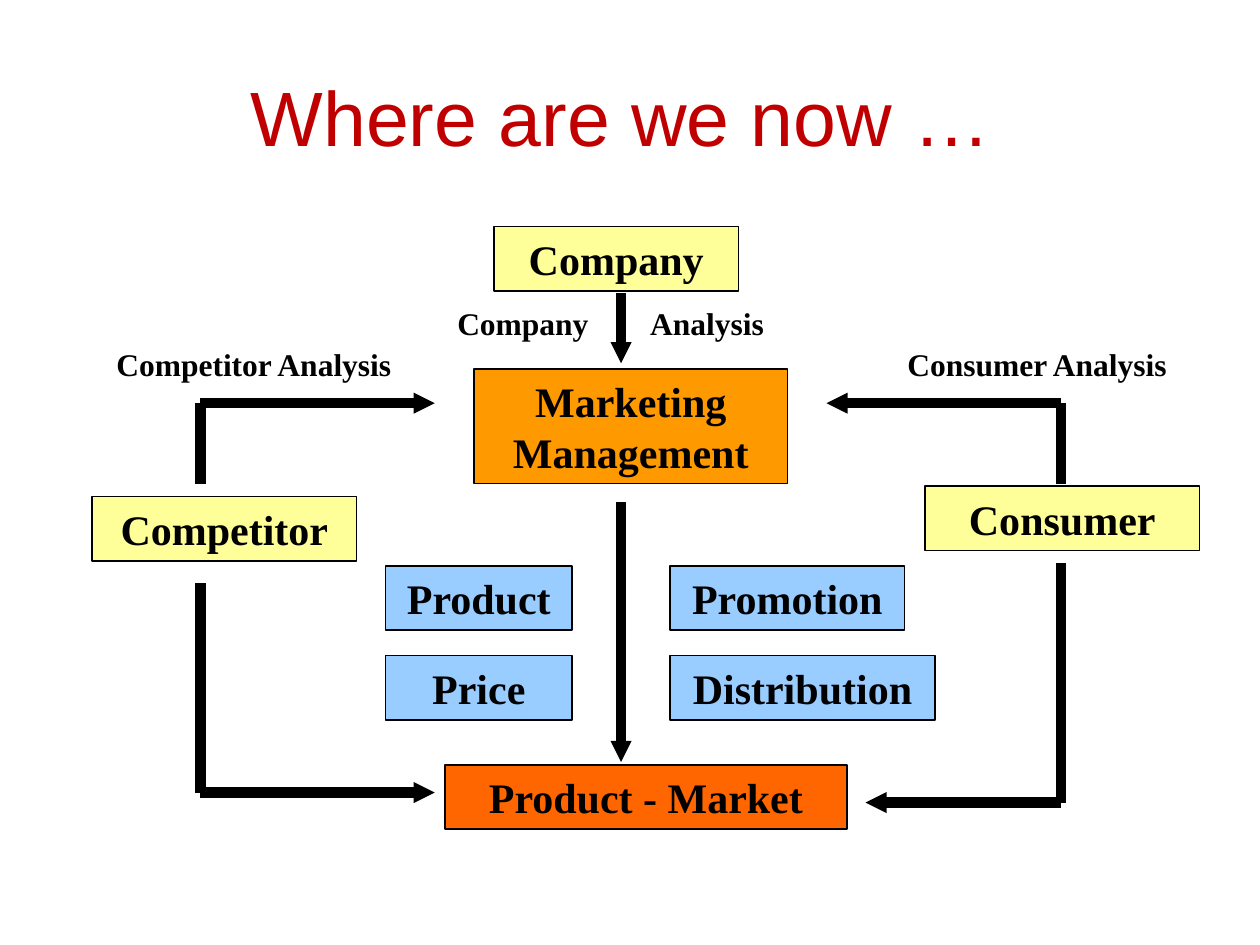
from dataclasses import dataclass
from lxml.etree import SubElement
from pptx import Presentation
from pptx.dml.color import RGBColor
from pptx.enum.shapes import MSO_CONNECTOR, MSO_SHAPE
from pptx.enum.text import MSO_ANCHOR, PP_ALIGN
from pptx.oxml.ns import qn
from pptx.util import Pt


@dataclass(frozen=True)
class Theme:
    ink: str = "000000"
    title: str = "C00000"
    actor: str = "FFFF99"
    core: str = "FF9900"
    mix: str = "99CCFF"
    goal: str = "FF6600"
    serif: str = "Times New Roman"
    sans: str = "Arial"
    head: int = 44
    body: int = 24
    note: int = 18
    edge: int = 1
    flow: int = 6
    row: float = 36.7


THEME = Theme()


def apply(item, values):
    for name, value in values.items():
        setattr(item, name, value)


def write(shape, text, size=THEME.body, face=THEME.serif, color=THEME.ink, bold=True):
    frame = shape.text_frame
    apply(frame, {"word_wrap": True, "vertical_anchor": MSO_ANCHOR.MIDDLE})
    para = frame.paragraphs[0]
    apply(para, {"text": text, "alignment": PP_ALIGN.CENTER})
    font = para.runs[0].font
    apply(font, {"name": face, "size": Pt(size), "bold": bold})
    font.color.rgb = RGBColor.from_string(color)


def label(slide, text, left, top, width, height=28.8, **style):
    area = slide.shapes.add_textbox(Pt(left), Pt(top), Pt(width), Pt(height))
    write(area, text, **{"size": THEME.note, **style})


def block(slide, text, fill, left, top, width, height=THEME.row):
    shape = slide.shapes.add_shape(
        MSO_SHAPE.RECTANGLE, Pt(left), Pt(top), Pt(width), Pt(height))
    shape.shadow.inherit = False
    shape.fill.solid()
    shape.fill.fore_color.rgb = RGBColor.from_string(fill)
    shape.line.color.rgb = RGBColor.from_string(THEME.ink)
    shape.line.width = Pt(THEME.edge)
    write(shape, text)


def flow(slide, start, end, arrow=True):
    line = slide.shapes.add_connector(
        MSO_CONNECTOR.STRAIGHT, *[Pt(n) for n in (*start, *end)])
    line.line.color.rgb = RGBColor.from_string(THEME.ink)
    line.line.width = Pt(THEME.flow)
    if arrow:
        SubElement(line.line._get_or_add_ln(), qn("a:tailEnd"),
                   type="triangle", w="sm", len="sm")
    SubElement(line._element.spPr, qn("a:effectLst"))


def heading(slide, box):
    label(slide, "Where are we now …", *box, size=THEME.head,
          face=THEME.sans, color=THEME.title, bold=False)


def centre(slide, box):
    x, y, width, height = box
    axis = x + 134.6
    block(slide, "Company", THEME.actor, x + 62, y, 139.7)
    for text, shift in (("Company", 18.5), ("Analysis", 123.7)):
        label(slide, text, x + shift, y + 41, 120)
    flow(slide, (axis, y + 38.2), (axis, y + 78.2))
    block(slide, "Marketing Management", THEME.core, x + 50.5, y + 81.4, 179.3, 65.5)
    flow(slide, (axis, y + 157.7), (axis, y + 306))
    block(slide, "Product - Market", THEME.goal, x + 34, y + height - THEME.row, 229.7)


def mix(slide, box):
    x, y, width, height = box
    rows = (("Product", "Promotion", 133.9), ("Price", "Distribution", 151.2))
    step = height - THEME.row
    for index, (left, right, span) in enumerate(rows):
        top = y + index * step
        block(slide, left, THEME.mix, x, top, 106.6)
        block(slide, right, THEME.mix, x + width - 151.2, top, span)


def side(slide, box, name, card, trunk, gap, tips):
    x, y, width, height = box
    axis, upper, lower = x + trunk, y + 36.7, y + height
    label(slide, f"{name} Analysis", x, y, width)
    left, top, span = card
    block(slide, name, THEME.actor, x + left, y + top, span)
    ends = ((upper, y + 82.8, tips[0]), (lower, y + gap, tips[1]))
    for level, edge, tip in ends:
        flow(slide, (axis, edge), (axis, level), arrow=False)
        flow(slide, (axis, level), (axis + tip, level))


def main():
    deck = Presentation()
    apply(deck, {"slide_width": Pt(720), "slide_height": Pt(540)})
    slide = deck.slides.add_slide(deck.slide_layouts[6])
    heading(slide, (54, 30.2, 601.9, 72))
    centre(slide, (220.3, 129.4, 263.7, 344.4))
    mix(slide, (220.3, 323.3, 313.9, 88))
    side(slide, (36, 193.7, 218.2, 259.2), "Competitor",
         (16.6, 90, 151.2), 78.5, 139.7, (133.9, 133.9))
    side(slide, (488.9, 193.7, 207.4, 264.9), "Consumer",
         (39.6, 84.2, 157), 117.3, 128.1, (-133.9, -111.6))
    deck.save("out.pptx")


if __name__ == "__main__":
    main()
